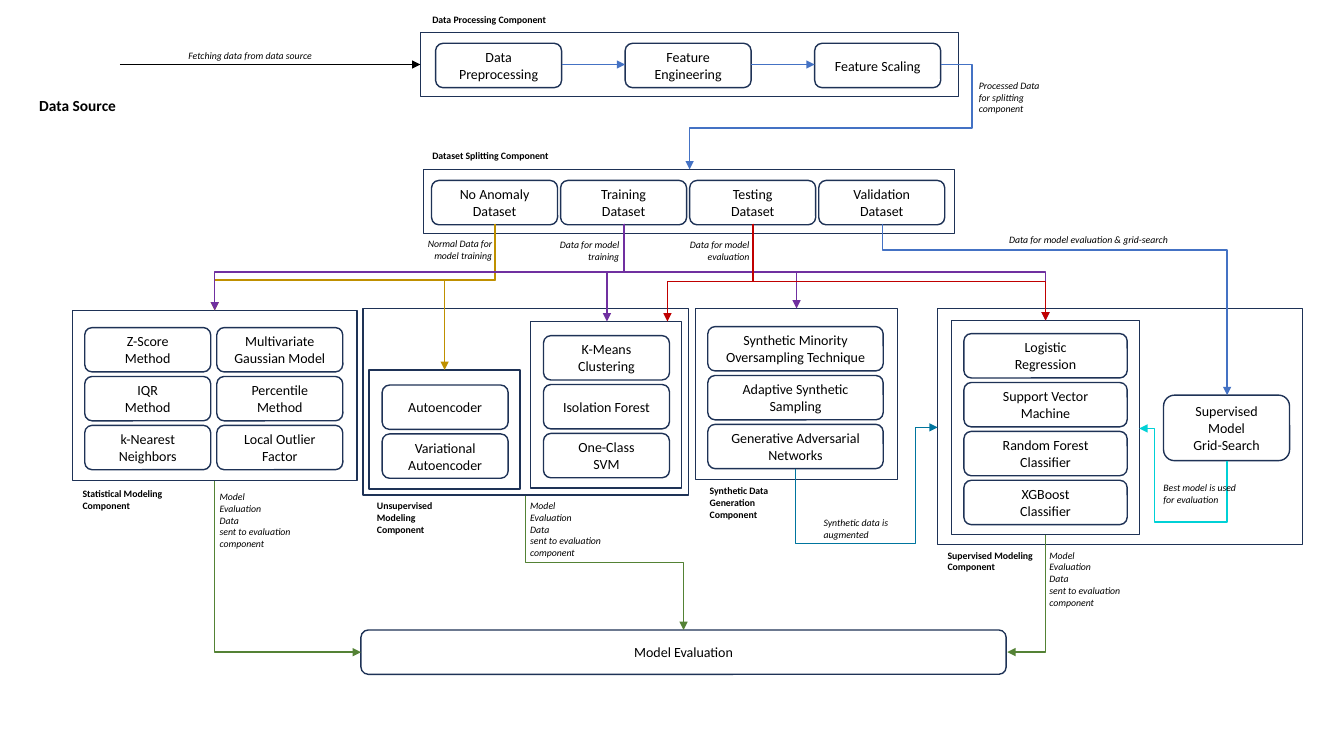
from pptx import Presentation
from pptx import util as u
from pptx.dml.color import RGBColor
from pptx.enum import shapes, text
from pptx.oxml import parse_xml
from pptx.oxml.ns import nsdecls, qn

NAVY, BLACK, BLUE, GOLD = "1E3256", "000000", "4472C4", "BF9000"
GREEN, PURPLE, RED, TEAL, CYAN = "548235", "7030A0", "C00000", "00759E", "00D1D6"
LEFT, MID, RIGHT = text.PP_ALIGN.LEFT, text.PP_ALIGN.CENTER, text.PP_ALIGN.RIGHT
WIDE, TALL = 1.25, 0.44       # step box
ROW = 0.485                   # pitch of stacked boxes
FOOT = 2.22                   # lower edge of the dataset boxes
SENT = ["Model\nEvaluation", "Data", "sent to evaluation", "component"]

deck = Presentation()
deck.slide_width, deck.slide_height = u.Inches(13.33), u.Inches(7.5)
page = deck.slides.add_slide(deck.slide_layouts[6]).shapes


def color(code):
    return RGBColor.from_string(code)


def write(frame, words, size=10, bold=False, italic=False, align=MID,
          anchor=text.MSO_ANCHOR.MIDDLE):
    """Fill a frame; a list gives one paragraph per item."""
    frame.word_wrap = True
    frame.vertical_anchor = anchor
    for i, line in enumerate([words] if isinstance(words, str) else words):
        para = frame.add_paragraph() if i else frame.paragraphs[0]
        para.text = line
        para.alignment = align
        font = para.font
        font.name, font.size = "Calibri", u.Pt(size)
        font.bold, font.italic = bold, italic
        font.color.rgb = color(BLACK)


def label(words, x, y, w, h, **form):
    form = {"size": 7, "align": LEFT, "anchor": text.MSO_ANCHOR.TOP, **form}
    box = page.add_textbox(*map(u.Inches, (x, y, w, h)))
    write(box.text_frame, words, **form)


def outline(kind, x, y, w, h):
    shape = page.add_shape(kind, *map(u.Inches, (x, y, w, h)))
    shape.shadow.inherit = False
    shape.fill.background()
    shape.line.color.rgb = color(NAVY)
    shape.line.width = u.Pt(1)
    return shape


def frame(x, y, w, h):
    outline(shapes.MSO_SHAPE.RECTANGLE, x, y, w, h)


def step(words, x, y, w=WIDE, h=TALL):
    box = outline(shapes.MSO_SHAPE.ROUNDED_RECTANGLE, x, y, w, h)
    write(box.text_frame, words)


def series(names, x, y, dx=0, dy=0, w=WIDE):
    for i, name in enumerate(names):
        step(name, x + i * dx, y + i * dy, w)


def bend(link, pts):
    """Shape an elbow connector so that it runs through all points."""
    (x, y), (ex, ey) = pts[0], pts[-1]
    dx, dy = ex - x, ey - y
    axis = 0 if pts[1][1] == y else 1
    flip, turn = (dx < 0, dy < 0), 0
    w, h = abs(dx), abs(dy)
    if axis:                  # first leg is vertical: turn the frame
        w, h = h, w
        flip, turn = (dy < 0, dx > 0), 90
        if dx > 0 and dy > 0:
            flip, turn = (True, False), 270
    xfrm = link._element.spPr.xfrm
    xfrm.rot, xfrm.flipH, xfrm.flipV = turn, *flip
    link.left, link.top = u.Inches((x + ex - w) / 2), u.Inches((y + ey - h) / 2)
    link.width, link.height = u.Inches(w), u.Inches(h)

    geom = link._element.spPr.find(qn("a:prstGeom"))
    geom.set("prst", f"bentConnector{len(pts) - 1}")
    guides = geom.find(qn("a:avLst"))
    for i, via in enumerate(pts[1:-2]):
        k = (axis + i) % 2
        share = (via[k] - pts[0][k]) / (dx, dy)[k]
        guides.append(parse_xml(f'<a:gd {nsdecls("a")} name="adj{i + 1}" '
                                f'fmla="val {round(share * 100000)}"/>'))


def arrow(code, *pts):
    kind = shapes.MSO_CONNECTOR.STRAIGHT if len(pts) == 2 else shapes.MSO_CONNECTOR.ELBOW
    link = page.add_connector(kind, *map(u.Inches, pts[0] + pts[-1]))
    if len(pts) > 2:
        bend(link, pts)
    link.line.color.rgb = color(code)
    link.line.width = u.Pt(1)
    link.line._get_or_add_ln().append(
        parse_xml(f'<a:tailEnd {nsdecls("a")} type="triangle"/>'))
    link._element.spPr.append(parse_xml(f'<a:effectLst {nsdecls("a")}/>'))


def drop(code, x, bus, ex, ey, top=FOOT):
    """Go down to a shared level, across, and down to the target."""
    arrow(code, (x, top), (x, bus), (ex, bus), (ex, ey))


def data():
    # Source, processing and splitting
    label("Data Source", 0.02, 0.9, 1.5, 0.29, size=11, bold=True, align=MID,
          anchor=text.MSO_ANCHOR.MIDDLE)
    frame(4.17, 0.32, 5.34, 0.64)
    series(["Data Preprocessing", "Feature\nEngineering", "Feature Scaling"],
           4.32, 0.43, dx=1.88)
    frame(4.2, 1.68, 5.27, 0.64)
    series([f"{kind}\nDataset" for kind in
            ("No Anomaly", "Training", "Testing", "Validation")], 4.28, 1.79, dx=1.28)


def models():
    # Statistical
    frame(0.72, 3.08, 2.82, 1.69)
    series(["Z-Score\nMethod", "IQR\nMethod", "k-Nearest Neighbors"], 0.84, 3.25, dy=ROW)
    series(["Multivariate\nGaussian Model", "Percentile\nMethod", "Local Outlier\nFactor"],
           2.15, 3.25, dy=ROW)
    # Unsupervised
    frame(3.6, 3.06, 3.23, 1.85)
    frame(3.66, 3.67, 1.5, 1.18)
    series(["Autoencoder", "Variational\nAutoencoder"], 3.79, 3.82, dy=ROW)
    frame(5.26, 3.19, 1.5, 1.65)
    series(["K-Means\nClustering", "Isolation Forest", "One-Class\nSVM"], 5.39, 3.33, dy=ROW)
    # Synthetic data
    frame(6.9, 3.06, 2, 1.7)
    series(["Synthetic Minority Oversampling Technique", "Adaptive Synthetic Sampling",
            "Generative Adversarial\nNetworks"], 7.02, 3.24, dy=ROW, w=1.74)
    # Supervised
    frame(9.3, 3.06, 3.62, 2.34)
    frame(9.44, 3.18, 1.86, 2.12)
    series(["Logistic\nRegression", "Support Vector\nMachine", "Random Forest\nClassifier",
            "XGBoost\nClassifier"], 9.56, 3.31, dy=ROW, w=1.62)
    step("Supervised Model\nGrid-Search", 11.54, 3.92, h=0.65)
    step("Model Evaluation", 3.58, 6.25, w=6.4)


def flows():
    # Through the processing steps
    arrow(BLACK, (1.19, 0.64), (4.17, 0.64))
    for x in (5.57, 7.45):
        arrow(BLUE, (x, 0.64), (x + 0.63, 0.64))
    arrow(BLUE, (9.33, 0.64), (9.64, 0.64), (9.64, 1.27), (6.84, 1.27), (6.84, 1.68))
    # From the datasets to the models
    for x, y in ((2.13, 3.08), (4.41, 3.67)):
        drop(GOLD, 4.91, 2.78, x, y)
    for x, y in ((6.02, 3.19), (7.9, 3.06), (10.37, 3.18), (2.13, 3.08)):
        drop(PURPLE, 6.19, 2.7, x, y)
    for x, y in ((6.62, 3.19), (10.37, 3.18)):
        drop(RED, 7.47, 2.79, x, y)
    drop(BLUE, 8.75, 2.48, 12.17, 3.92)
    # Between the models
    arrow(TEAL, (7.89, 4.65), (7.89, 5.39), (9.08, 5.39), (9.08, 4.24), (9.3, 4.24))
    arrow(CYAN, (12.17, 4.57), (12.17, 5.18), (11.45, 5.18), (11.45, 4.25), (11.3, 4.25))
    # To the evaluation
    arrow(GREEN, (2.13, 4.77), (2.13, 6.47), (3.58, 6.47))
    drop(GREEN, 5.21, 5.58, 6.78, 6.25, top=4.92)
    arrow(GREEN, (10.37, 5.31), (10.37, 6.47), (9.99, 6.47))


def notes():
    # Component names
    for words, x, y, w, h in (
            ("Data Processing Component", 4.19, 0.09, 1.6, 0.22),
            ("Dataset Splitting Component", 4.19, 1.44, 1.6, 0.22),
            ("Statistical Modeling\nComponent", 0.72, 4.79, 2.59, 0.34),
            ("Unsupervised\nModeling\nComponent", 3.64, 4.91, 3.23, 0.45),
            ("Synthetic Data\nGeneration\nComponent", 6.94, 4.76, 1.99, 0.45),
            ("Supervised Modeling\nComponent", 9.3, 5.4, 2.66, 0.34)):
        label(words, x, y, w, h, bold=True)
    # Words along the arrows
    for words, x, y, w, h, align in (
            ("Fetching data from data source", 1.42, 0.44, 2.12, 0.22, MID),
            ("Processed Data for splitting\ncomponent", 9.61, 0.74, 0.92, 0.45, LEFT),
            ("Normal Data for\nmodel training", 3.73, 2.31, 1.25, 0.34, RIGHT),
            ("Data for model\ntraining", 5.32, 2.32, 0.92, 0.34, RIGHT),
            ("Data for model\nevaluation", 6.61, 2.32, 0.92, 0.34, RIGHT),
            ("Data for model evaluation & grid-search", 9.79, 2.27, 1.89, 0.22, RIGHT),
            (["Synthetic data is", "augmented"], 8.07, 5.08, 0.92, 0.34, LEFT),
            ("Best model is used for evaluation", 11.44, 4.73, 0.92, 0.45, LEFT),
            (SENT, 2.08, 4.82, 0.92, 0.69, LEFT),
            (SENT, 5.16, 4.91, 0.92, 0.69, LEFT),
            (SENT, 10.31, 5.4, 0.92, 0.69, LEFT)):
        label(words, x, y, w, h, italic=True, align=align)


def main():
    data()
    models()
    flows()
    notes()
    deck.save("out.pptx")


if __name__ == "__main__":
    main()
